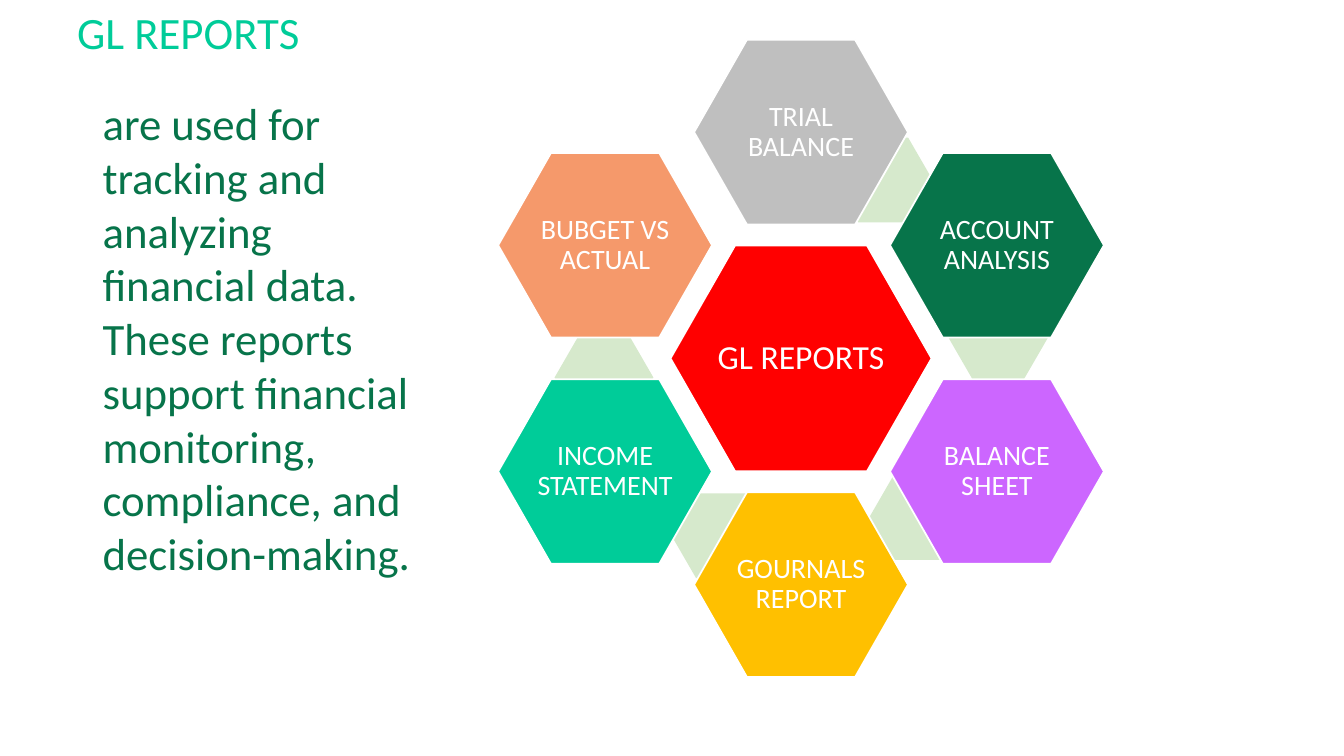
from math import cos, radians, sin

from pptx import Presentation
from pptx.dml.color import RGBColor
from pptx.enum.shapes import MSO_SHAPE as Shape
from pptx.enum.text import MSO_ANCHOR as Anchor, MSO_AUTO_SIZE as Fit, PP_ALIGN as Align
from pptx.util import Pt

WHITE = RGBColor(0xFF, 0xFF, 0xFF)
RED = RGBColor(0xFF, 0x00, 0x00)
GRAY = RGBColor(0xBF, 0xBF, 0xBF)
GREEN = RGBColor(0x07, 0x74, 0x4A)
PURPLE = RGBColor(0xCC, 0x66, 0xFF)
GOLD = RGBColor(0xFF, 0xC0, 0x00)
TEAL = RGBColor(0x00, 0xCC, 0x99)
ORANGE = RGBColor(0xF5, 0x99, 0x6B)
PALE = RGBColor(0xD6, 0xE9, 0xCC)

FONT = "Calibri"
MID_X, MID_Y = 572.2, 256
RING = 161.6

# Label, fill and the offset of the pale link behind, clockwise from the top
REPORTS = [
    ("TRIAL BALANCE", GRAY, (58.7, -127.4)),
    ("ACCOUNT ANALYSIS", GREEN, (140.8, -14.4)),
    ("BALANCE SHEET", PURPLE, (83.9, 113.8)),
    ("GOURNALS REPORT", GOLD, (-57.2, 126.7)),
    ("INCOME STATEMENT", TEAL, (-140.8, 13.7)),
    ("BUBGET VS ACTUAL", ORANGE, None),
]

INTRO = (
    "are used for tracking and analyzing financial data. These reports "
    "support financial monitoring, compliance, and decision-making."
)


def style(para, size, color):
    for run in para.runs:
        run.font.name = FONT
        run.font.size = Pt(size)
        run.font.color.rgb = color


def add_text(slide, text, left, top, width, height, color):
    box = slide.shapes.add_textbox(Pt(left), Pt(top), Pt(width), Pt(height))
    frame = box.text_frame
    frame.word_wrap = True
    frame.auto_size = Fit.SHAPE_TO_FIT_TEXT
    frame.text = text
    style(frame.paragraphs[0], 32, color)


def add_hex(slide, dx, dy, width, height, fill, slant):
    """Add a hexagon whose centre is offset from the middle of the ring."""
    left, top = MID_X + dx - width / 2, MID_Y + dy - height / 2
    cell = slide.shapes.add_shape(
        Shape.HEXAGON, Pt(left), Pt(top), Pt(width), Pt(height)
    )
    cell.adjustments[0] = slant
    cell.shadow.inherit = False
    cell.fill.solid()
    cell.fill.fore_color.rgb = fill
    cell.line.fill.background()
    return cell


def add_link(slide, dx, dy):
    add_hex(slide, dx, dy, 70.6, 60.5, PALE, 0.289)


def add_report(slide, text, dx, dy, width, height, fill, size):
    cell = add_hex(slide, dx, dy, width, height, fill, 0.286)
    cell.line.color.rgb = WHITE
    cell.line.width = Pt(1.25)
    frame = cell.text_frame
    frame.word_wrap = True
    frame.vertical_anchor = Anchor.MIDDLE
    frame.margin_left = frame.margin_right = Pt(2)
    frame.margin_top = frame.margin_bottom = Pt(2)
    frame.text = text
    para = frame.paragraphs[0]
    para.alignment = Align.CENTER
    para.line_spacing = 0.9
    style(para, size, WHITE)


def main():
    deck = Presentation()
    deck.slide_width, deck.slide_height = Pt(960), Pt(540)
    slide = deck.slides.add_slide(deck.slide_layouts[6])

    # Title
    add_text(slide, "GL REPORTS", 48, 0, 460.8, 85, TEAL)

    # Hub
    add_report(slide, "GL REPORTS", 0, 0, 186.5, 161.3, RED, 24)

    # Ring of reports, each over its link
    for step, (label, fill, link) in enumerate(REPORTS):
        if link:
            add_link(slide, *link)
        turn = radians(60 * step)
        dx, dy = RING * sin(turn), -RING * cos(turn)
        add_report(slide, label, dx, dy, 152.8, 131.9, fill, 20)

    # Introduction
    add_text(slide, INTRO, 66.2, 64.8, 249.1, 356.4, GREEN)

    deck.save("out.pptx")


if __name__ == "__main__":
    main()
